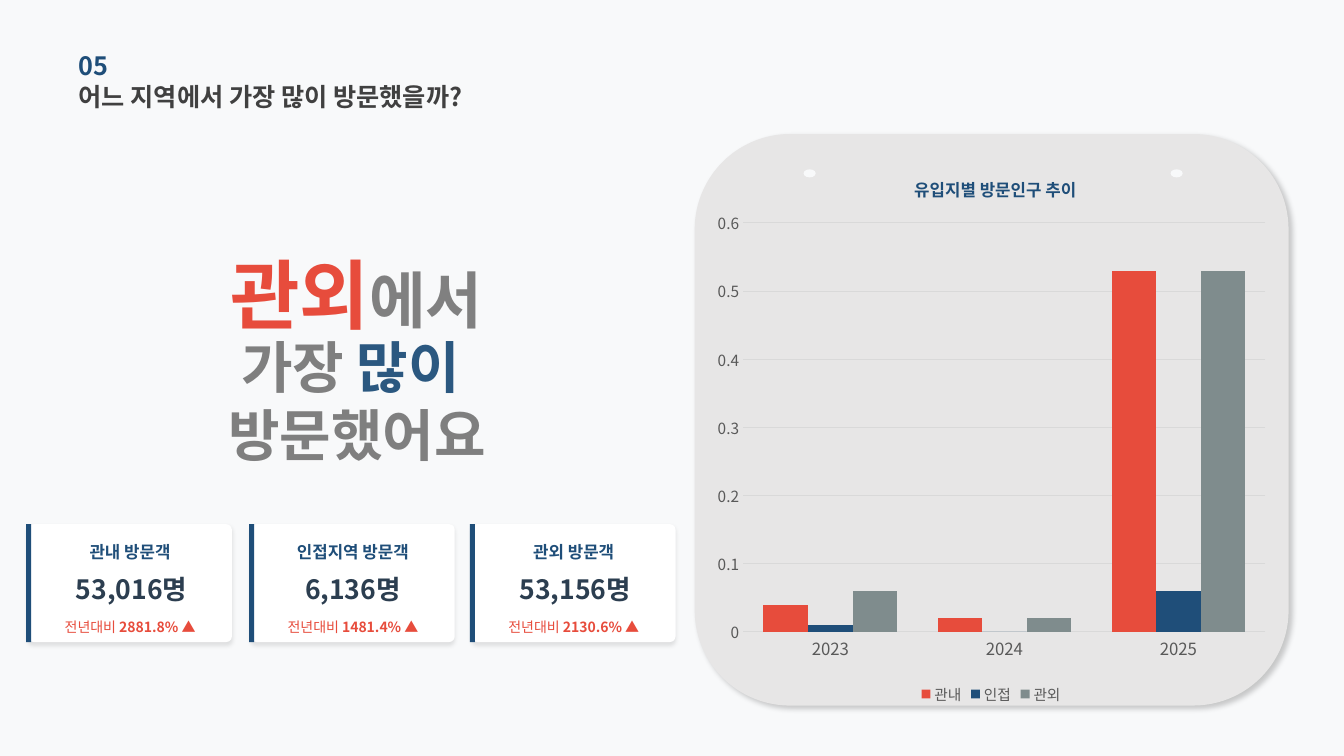
from lxml.etree import SubElement
from pptx import Presentation
from pptx.chart.data import CategoryChartData
from pptx.dml.color import RGBColor
from pptx.enum.chart import XL_CHART_TYPE as CT, XL_LEGEND_POSITION as LP, XL_TICK_MARK as TM
from pptx.enum.shapes import MSO_SHAPE as SH
from pptx.enum.text import MSO_ANCHOR as VA, PP_ALIGN as AL
from pptx.oxml import parse_xml
from pptx.oxml.ns import nsdecls, qn
from pptx.util import Pt

PX = 9144
FONT = "Noto Sans CJK KR"
RED, NAVY, GRAY = "E74C3C", "1F4E79", "7F7F7F"


def rgb(value):
    return RGBColor.from_string(value)


def px(*values):
    return [v * PX for v in values]


class Deck:
    def __init__(self, prs, background):
        self.prs = prs
        self.s = prs.slides.add_slide(prs.slide_layouts[6])
        fill = self.s.background.fill
        fill.solid()
        fill.fore_color.rgb = rgb(background)

    def style(self, font, size, color, bold=False):
        values = {"name": FONT, "size": Pt(size), "bold": bold}
        for name, value in values.items():
            setattr(font, name, value)
        font.color.rgb = rgb(color)
        SubElement(font._element, qn("a:ea")).set("typeface", FONT)

    def shape(self, kind, box, color, shadow=None, radius=None):
        sp = self.s.shapes.add_shape(kind, *px(*box))
        sp.shadow.inherit = False
        sp.fill.solid()
        sp.fill.fore_color.rgb = rgb(color)
        sp.line.fill.background()
        if radius is not None:
            sp.adjustments[0] = radius
        if shadow:
            alpha, blur, dist, angle = shadow
            effects = sp._element.spPr.find(qn("a:effectLst"))
            effects.append(parse_xml(
                f'<a:outerShdw {nsdecls("a")} blurRad="{Pt(blur)}" dist="{Pt(dist)}" '
                f'dir="{angle * 60000}" algn="tl" rotWithShape="0"><a:srgbClr val="000000">'
                f'<a:alpha val="{alpha * 1000}"/></a:srgbClr></a:outerShdw>'))

    def text(self, box, *lines, align=AL.CENTER):
        tf = self.s.shapes.add_textbox(*px(*box)).text_frame
        values = {"word_wrap": True, "vertical_anchor": VA.MIDDLE, "margin_left": 0,
                  "margin_right": 0, "margin_top": 0, "margin_bottom": 0}
        for name, value in values.items():
            setattr(tf, name, value)
        for i, runs in enumerate(lines):
            p = tf.add_paragraph() if i else tf.paragraphs[0]
            p.alignment = align
            for words, *look in runs:
                r = p.add_run()
                r.text = words
                self.style(r.font, *look)

    def card(self, x, label, count, growth, inset):
        self.shape(SH.ROUNDED_RECTANGLE, (x, 520, 202, 117), "FFFFFF", (10, 3, 2, 90), 0.048)
        self.shape(SH.RECTANGLE, (x - 2, 520, 5, 117), NAVY)
        self.text((x, 536, 202, 22), [(label, 12, NAVY, True)])
        self.text((x + inset, 567, 202 - inset, 34), [(count, 19, "2C3E50", True)])
        self.text((x, 612, 202, 20), [("전년대비 ", 10, RED), (growth, 10, RED, True)])

    def layout(self, element, **parts):
        old = element.find(qn("c:layout"))
        if old is not None:
            element.remove(old)
        tags = "".join(f'<c:{k} val="{v}"/>' for k, v in parts.items())
        node = parse_xml(f'<c:layout {nsdecls("c")}><c:manualLayout>{tags}</c:manualLayout></c:layout>')
        return node

    def chart(self, box, title, categories, series):
        data = CategoryChartData()
        data.categories = categories
        for name, values, _ in series:
            data.add_series(name, values)
        chart = self.s.shapes.add_chart(CT.COLUMN_CLUSTERED, *px(*box), data).chart
        chart.font.name = "Calibri"
        chart.font.size = Pt(10)
        chart.font.color.rgb = rgb("000000")

        chart.has_title = True
        p = chart.chart_title.text_frame.paragraphs[0]
        r = p.add_run()
        r.text = title
        self.style(r.font, 12, NAVY, True)
        place = self.layout(chart.chart_title._element, xMode="edge", yMode="edge", x=0.36, y=0.04)
        chart.chart_title._element.find(qn("c:tx")).addnext(place)
        area = chart._chartSpace.chart.plotArea
        area.insert(0, self.layout(area, layoutTarget="inner", xMode="edge", yMode="edge",
                                   x=0.066, y=0.132, w=0.915, h=0.731))

        plot = chart.plots[0]
        for name, value in {"gap_width": 90, "overlap": 0, "vary_by_categories": False}.items():
            setattr(plot, name, value)
        for bars, (_, _, color) in zip(plot.series, series):
            bars.format.fill.solid()
            bars.format.fill.fore_color.rgb = rgb(color)

        for axis, size in ((chart.category_axis, 12), (chart.value_axis, 11)):
            axis.major_tick_mark = axis.minor_tick_mark = TM.NONE
            self.style(axis.tick_labels.font, size, "595959")
        value_axis = chart.value_axis
        limits = {"minimum_scale": 0, "maximum_scale": 0.6, "major_unit": 0.1}
        for name, value in limits.items():
            setattr(value_axis, name, value)
        value_axis.format.line.fill.background()
        for line in (chart.category_axis.format.line, value_axis.major_gridlines.format.line):
            line.color.rgb = rgb("D9D9D9")
            line.width = Pt(0.75)

        chart.has_legend = True
        chart.legend.position = LP.BOTTOM
        chart.legend.include_in_layout = False
        self.style(chart.legend.font, 10.5, "595959")


def main():
    prs = Presentation()
    prs.slide_width, prs.slide_height = px(1333, 750)
    deck = Deck(prs, "F8F9FA")

    deck.shape(SH.ROUNDED_RECTANGLE, (689, 133, 589, 567), "E7E6E6", (20, 4, 3, 45))
    for x in (797, 1161):
        deck.shape(SH.OVAL, (x, 168, 12, 8), "F8F9FA")

    deck.text((78, 44, 452, 41), [("05", 18, NAVY, True)], align=AL.LEFT)
    deck.text((78, 75, 528, 41), [("어느 지역에서 가장 많이 방문했을까?", 18, "404040", True)],
              align=AL.LEFT)
    deck.text((139, 267, 429, 48), [("관외", 54, RED, True), ("에서", 44, "808080", True)])
    deck.text((78, 355, 552, 84),
              [("가장", 40, GRAY, True), (" 많이 ", 40, "2B5880", True)],
              [("방문했어요", 40, GRAY, True)])

    for card in ((28, "관내 방문객", "53,016명", "2881.8% ▲", 3),
                 (249, "인접지역 방문객", "6,136명", "1481.4% ▲", 0),
                 (468, "관외 방문객", "53,156명", "2130.6% ▲", 3)):
        deck.card(*card)

    deck.chart((700, 148, 566, 555), "유입지별 방문인구 추이", ("2023", "2024", "2025"),
               (("관내", (0.04, 0.02, 0.53), RED),
                ("인접", (0.01, 0, 0.06), NAVY),
                ("관외", (0.06, 0.02, 0.53), "7F8C8D")))
    prs.save("out.pptx")


if __name__ == "__main__":
    main()
